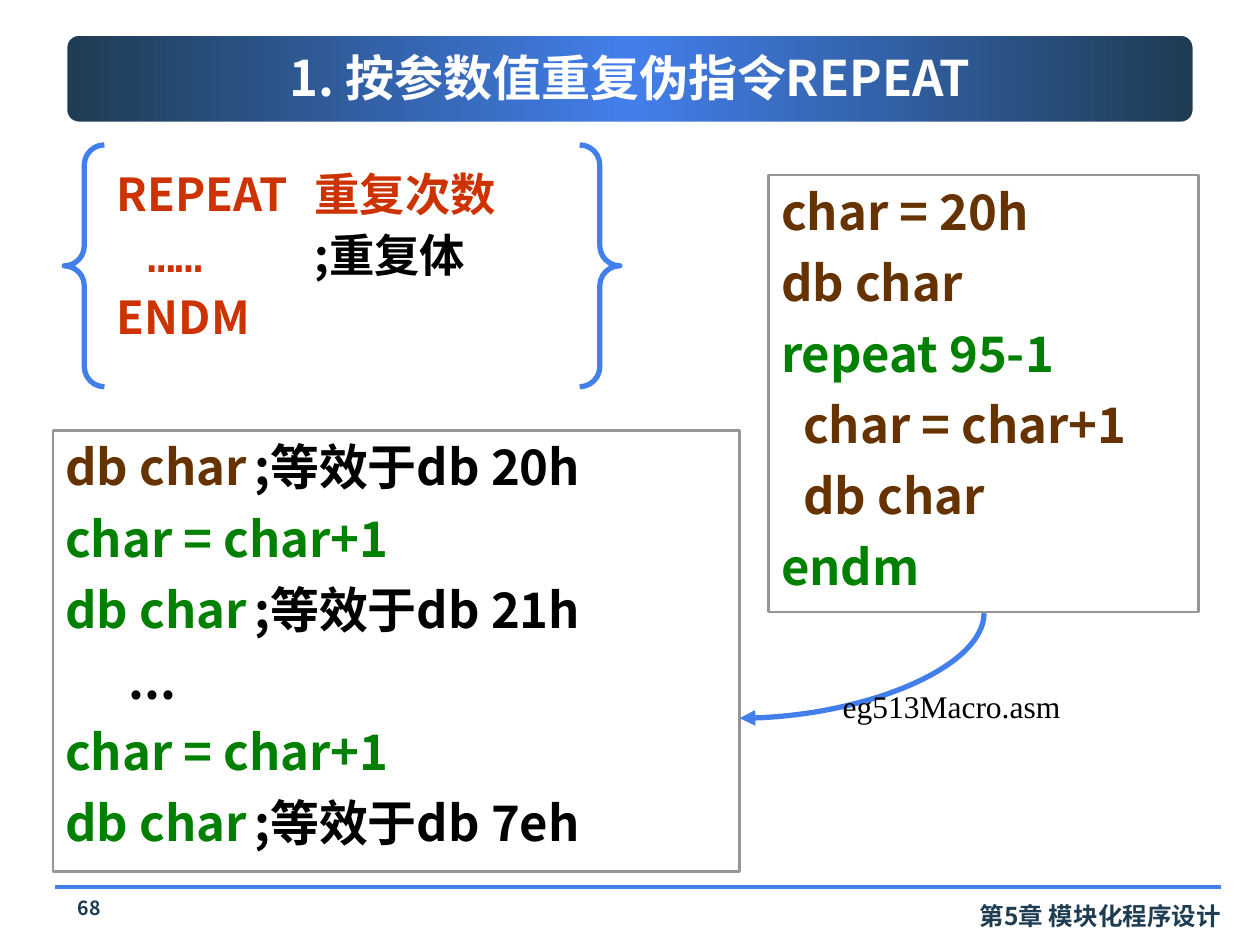
import pptx
import pptx.util
import pptx.dml.color
import pptx.enum.shapes
import pptx.enum.text
import pptx.oxml.ns
import copy
from lxml import etree

Pt = pptx.util.Pt
qn = pptx.oxml.ns.qn
SHAPE = pptx.enum.shapes.MSO_SHAPE
LINE = pptx.enum.shapes.MSO_CONNECTOR
ALIGN = pptx.enum.text.PP_ALIGN
ANCHOR = pptx.enum.text.MSO_ANCHOR

COLORS = {
    "white": "FFFFFF", "black": "000000", "navy": "1E3C52", "blue": "437FEB",
    "red": "CC3300", "brown": "663300", "green": "008000", "gray": "969696",
}
SANS, MONO, SERIF = "Noto Sans CJK SC", "Courier New", "Times New Roman"


def rgb(name):
    return pptx.dml.color.RGBColor.from_string(COLORS[name])


def write(sp, lines, size, align=ALIGN.JUSTIFY, bold=True, spacing=None,
          before=0, tab=None, wrap=True):
    """Fill a shape with lines; a line is a list of (text, colour[, font])."""
    tf = sp.text_frame
    tf.word_wrap = wrap
    tf.vertical_anchor = ANCHOR.TOP
    for i, line in enumerate(lines):
        p = tf.add_paragraph() if i else tf.paragraphs[0]
        p.alignment = align
        if spacing:
            p.line_spacing = spacing
        if i and before:
            p.space_before = Pt(before)
        if tab:
            tabs = etree.SubElement(p._p.get_or_add_pPr(), qn("a:tabLst"))
            etree.SubElement(tabs, qn("a:tab"), pos=str(Pt(tab)), algn="l")
        for text, color, *face in line:
            r = p.add_run()
            r.text = text
            r.font.size, r.font.bold = Pt(size), bold
            r.font.color.rgb = rgb(color)
            r.font.name = face[0] if face else SANS
            etree.SubElement(r._r.get_or_add_rPr(), qn("a:ea"), typeface=r.font.name)
    return tf


def add_text(s, box, lines, size, **style):
    sp = s.shapes.add_textbox(*map(Pt, box))
    return write(sp, lines, size, **style)


def add_box(s, kind, box, fill, line, width):
    sp = s.shapes.add_shape(kind, *map(Pt, box))
    sp.shadow.inherit = False
    if fill:
        sp.fill.solid()
        sp.fill.fore_color.rgb = rgb(fill)
    else:
        sp.fill.background()
    sp.line.color.rgb, sp.line.width = rgb(line), Pt(width)
    return sp


def add_line(s, kind, start, end, width):
    cn = s.shapes.add_connector(kind, *map(Pt, start + end))
    cn.line.color.rgb, cn.line.width = rgb("blue"), Pt(width)
    etree.SubElement(cn._element.spPr, qn("a:effectLst"))
    return cn


def title_bar(s, box, text):
    x, y, w, h = box
    sp = add_box(s, SHAPE.ROUNDED_RECTANGLE, box, "white", "white", 5)
    sp.fill.gradient()
    sp.fill.gradient_angle = 0
    # Third gradient stop
    stops = sp._element.spPr.find(".//" + qn("a:gsLst"))
    stops.append(copy.deepcopy(stops[-1]))
    for stop, color, pos in zip(sp.fill.gradient_stops, ("navy", "blue", "navy"), (0, 0.5, 1)):
        stop.color.rgb = rgb(color)
        stop.position = pos
    tf = add_text(s, (x + 9, y + 2, w - 18, h - 6), [[(text, "white")]], 28,
                  align=ALIGN.CENTER)
    tf.vertical_anchor = ANCHOR.MIDDLE


def footer(s, box, number, chapter):
    x, y, w, h = box
    add_line(s, LINE.STRAIGHT, (x, y), (x + w, y), 2)
    add_text(s, (x + w - 163.5, y + 4.3, 170.6, h), [[(chapter, "navy")]], 14,
             align=ALIGN.RIGHT)
    add_text(s, (x - 1.5, y + 2.9, 41.8, h), [[(number, "navy")]], 11.1,
             align=ALIGN.CENTER, spacing=0.9)


def syntax(s, box, lines):
    x, y, w, h = box
    sp = add_box(s, SHAPE.DOUBLE_BRACE, box, "white", "blue", 3)
    sp.adjustments[0] = 0.083
    add_text(s, (x + 23, y + 12.2, w - 30, h - 24.4), lines, 25.9,
             spacing=0.9, before=7, tab=113)


def code_box(s, box, lines, fill=None):
    write(add_box(s, SHAPE.RECTANGLE, box, fill, "gray", 1.5), lines, 28, before=7)


def expansion_arrow(s, start, end):
    """Curve leaving start downwards and reaching end from the right."""
    cn = add_line(s, LINE.CURVE, start, end, 3)
    (x1, y1), (x2, y2) = start, end
    # A quarter turn swaps width and height about the centre
    w, h = y2 - y1, x1 - x2
    cn.left, cn.top = Pt((x1 + x2 - w) / 2), Pt((y1 + y2 - h) / 2)
    cn.width, cn.height = Pt(w), Pt(h)
    sppr = cn._element.spPr
    xfrm = sppr.find(qn("a:xfrm"))
    xfrm.attrib.pop("flipH", None)
    xfrm.set("rot", str(90 * 60000))
    sppr.find(qn("a:prstGeom")).set("prst", "curvedConnector2")
    etree.SubElement(sppr.find(qn("a:ln")), qn("a:tailEnd"), type="triangle")


def main():
    prs = pptx.Presentation()
    prs.slide_width, prs.slide_height = Pt(720), Pt(540)
    s = prs.slides.add_slide(prs.slide_layouts[6])

    footer(s, (31.7, 506.9, 666, 24), "68", "第5章 模块化程序设计")
    title_bar(s, (36, 18, 648, 54), "1. 按参数值重复伪指令REPEAT")

    # Directive syntax
    syntax(s, (36.7, 82.8, 317.5, 138.2), [
        [("REPEAT\t重复次数", "red")],
        [("   ", "red"), ("……\t", "red", MONO), (";重复体", "black")],
        [("ENDM", "red")],
    ])

    # Source code
    code_box(s, (439.2, 100, 245.5, 249.8), [
        [("char = 20h", "brown")],
        [("db char", "brown")],
        [("repeat 95-1", "green")],
        [("  char = char+1", "brown")],
        [("  db char", "brown")],
        [("endm", "green")],
    ], fill="white")

    # Expanded code
    def define(color, value):
        return [("db char\t", color), (f";等效于db {value}", "black")]

    step = [("char = char+1", "green")]
    code_box(s, (30.2, 246.2, 392.4, 252), [
        define("brown", "20h"), step, define("green", "21h"),
        [("\t...", "black")], step, define("green", "7eh"),
    ])

    # Link from source to expansion
    expansion_arrow(s, (562.3, 350.4), (422.6, 410.4))
    add_text(s, (474.5, 388.8, 139, 28.8), [[("eg513Macro.asm", "black", SERIF)]], 18,
             align=ALIGN.LEFT, bold=False, wrap=False)

    prs.save("out.pptx")


if __name__ == "__main__":
    main()
